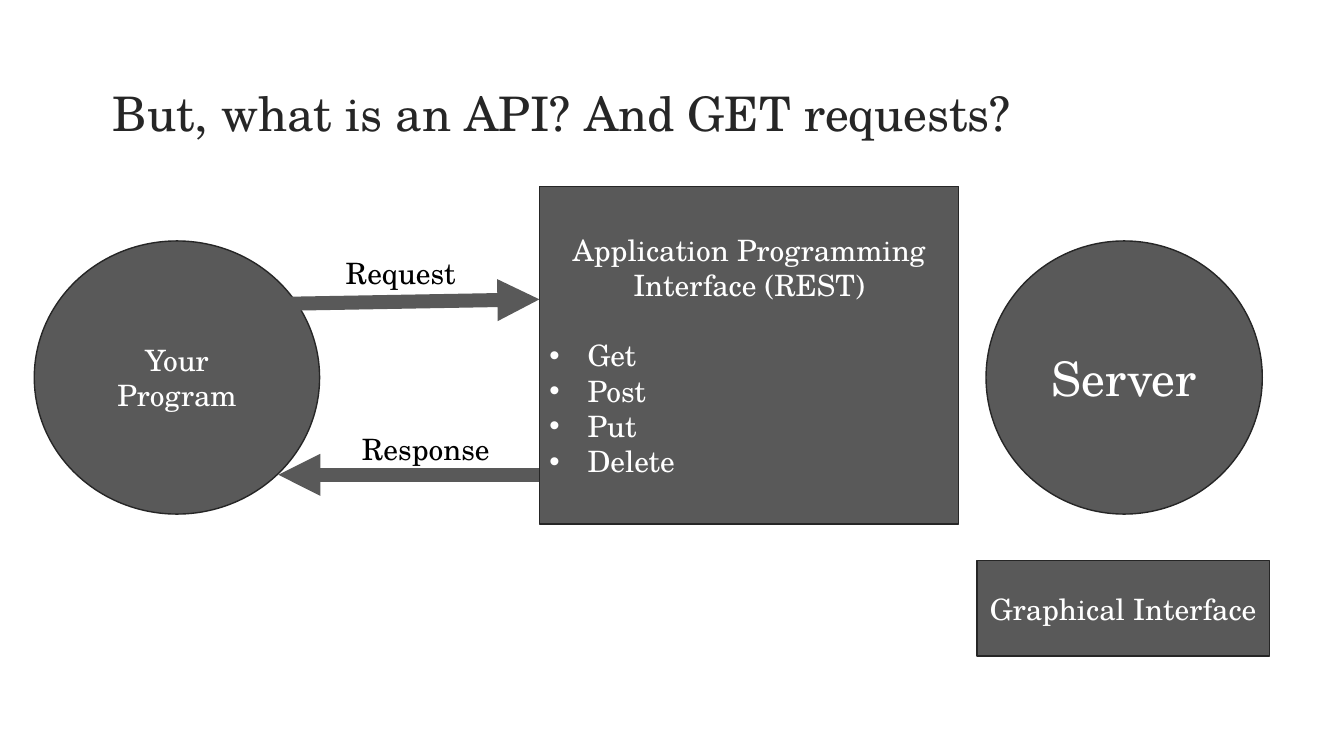
from lxml import etree
from pptx import Presentation
from pptx import util as u
from pptx.dml.color import RGBColor
from pptx.enum import shapes, text
from pptx.oxml.ns import qn

FONT = "TeX Gyre Schola"
DARK, GREY, WHITE, BLACK = "262626", "595959", "FFFFFF", "000000"
BODY_SIZE, LARGE_SIZE = 21, 34
METHODS = ["Get", "Post", "Put", "Delete"]


def colour(value):
    return RGBColor.from_string(value)


def inches(*lengths):
    return [u.Inches(length) for length in lengths]


def format_paragraph(paragraph, size, font_colour, alignment):
    paragraph.alignment = alignment
    for run in paragraph.runs:
        run.font.name = FONT
        run.font.size = u.Pt(size)
        run.font.color.rgb = colour(font_colour)


def add_title(slide, box, words):
    title = slide.shapes.title
    title.left, title.top, title.width, title.height = inches(*box)
    frame = title.text_frame
    frame.text = words
    frame.word_wrap = True
    frame.auto_size = text.MSO_AUTO_SIZE.NONE
    frame.vertical_anchor = text.MSO_ANCHOR.TOP
    format_paragraph(frame.paragraphs[0], LARGE_SIZE, DARK, text.PP_ALIGN.CENTER)


def add_node(slide, kind, box, words, size=BODY_SIZE):
    shape = slide.shapes.add_shape(kind, *inches(*box))
    shape.shadow.inherit = False
    shape.fill.solid()
    shape.fill.fore_color.rgb = colour(GREY)
    shape.line.color.rgb = colour(DARK)
    shape.line.width = u.Pt(1)
    frame = shape.text_frame
    frame.word_wrap = True
    frame.vertical_anchor = text.MSO_ANCHOR.MIDDLE
    frame.text = words
    format_paragraph(frame.paragraphs[0], size, WHITE, text.PP_ALIGN.CENTER)
    return shape


def add_bullet(frame, words):
    paragraph = frame.add_paragraph()
    paragraph.text = words
    format_paragraph(paragraph, BODY_SIZE, WHITE, text.PP_ALIGN.LEFT)
    properties = paragraph._p.get_or_add_pPr()
    indent = u.Inches(0.38)
    properties.set("marL", str(indent))
    properties.set("indent", str(-indent))
    etree.SubElement(properties, qn("a:buFont"), typeface="Arial")
    etree.SubElement(properties, qn("a:buChar"), char="•")


def add_interface(slide, box):
    shape = add_node(slide, shapes.MSO_SHAPE.RECTANGLE, box,
                     "Application Programming Interface (REST)")
    frame = shape.text_frame
    frame.paragraphs[0].space_after = u.Pt(25)
    for method in METHODS:
        add_bullet(frame, method)


def add_server(slide, box):
    left, top, width, height = box
    add_node(slide, shapes.MSO_SHAPE.OVAL, (left, top, width, height), "Server", LARGE_SIZE)
    add_node(slide, shapes.MSO_SHAPE.RECTANGLE,
             (left - 0.09, top + height + 0.46, 2.9, 0.95), "Graphical Interface")


def add_message(slide, start, end, label_box, words):
    arrow = slide.shapes.add_connector(shapes.MSO_CONNECTOR.STRAIGHT, *inches(*start, *end))
    arrow.line.color.rgb = colour(GREY)
    arrow.line.width = u.Pt(10)
    etree.SubElement(arrow.line._get_or_add_ln(), qn("a:tailEnd"), type="triangle")
    etree.SubElement(arrow._element.spPr, qn("a:effectLst"))
    label = slide.shapes.add_textbox(*inches(*label_box))
    label.text_frame.text = words
    format_paragraph(label.text_frame.paragraphs[0], BODY_SIZE, BLACK, text.PP_ALIGN.LEFT)


def add_messages(slide, box):
    left, top, width, height = box
    right, bottom = left + width, top + height
    add_message(slide, (left, top + 0.05), (right, top),
                (left + 0.84, top - 0.49, 1.32, 0.45), "Request")
    add_message(slide, (right, bottom), (left + 0.27, bottom),
                (left + 1, bottom - 0.48, 1.51, 0.45), "Response")


def build_api_slide(presentation):
    slide = presentation.slides.add_slide(presentation.slide_layouts[5])
    add_title(slide, (0.2, 0.78, 10.75, 0.67), "But, what is an API? And GET requests?")
    add_server(slide, (9.78, 2.39, 2.74, 2.71))
    add_interface(slide, (5.35, 1.85, 4.16, 3.35))
    add_node(slide, shapes.MSO_SHAPE.OVAL, (0.34, 2.39, 2.83, 2.71), "Your Program")
    add_messages(slide, (2.49, 2.97, 2.86, 1.74))


def main():
    presentation = Presentation()
    presentation.slide_width, presentation.slide_height = inches(13.33, 7.5)
    build_api_slide(presentation)
    presentation.save("out.pptx")


if __name__ == "__main__":
    main()
